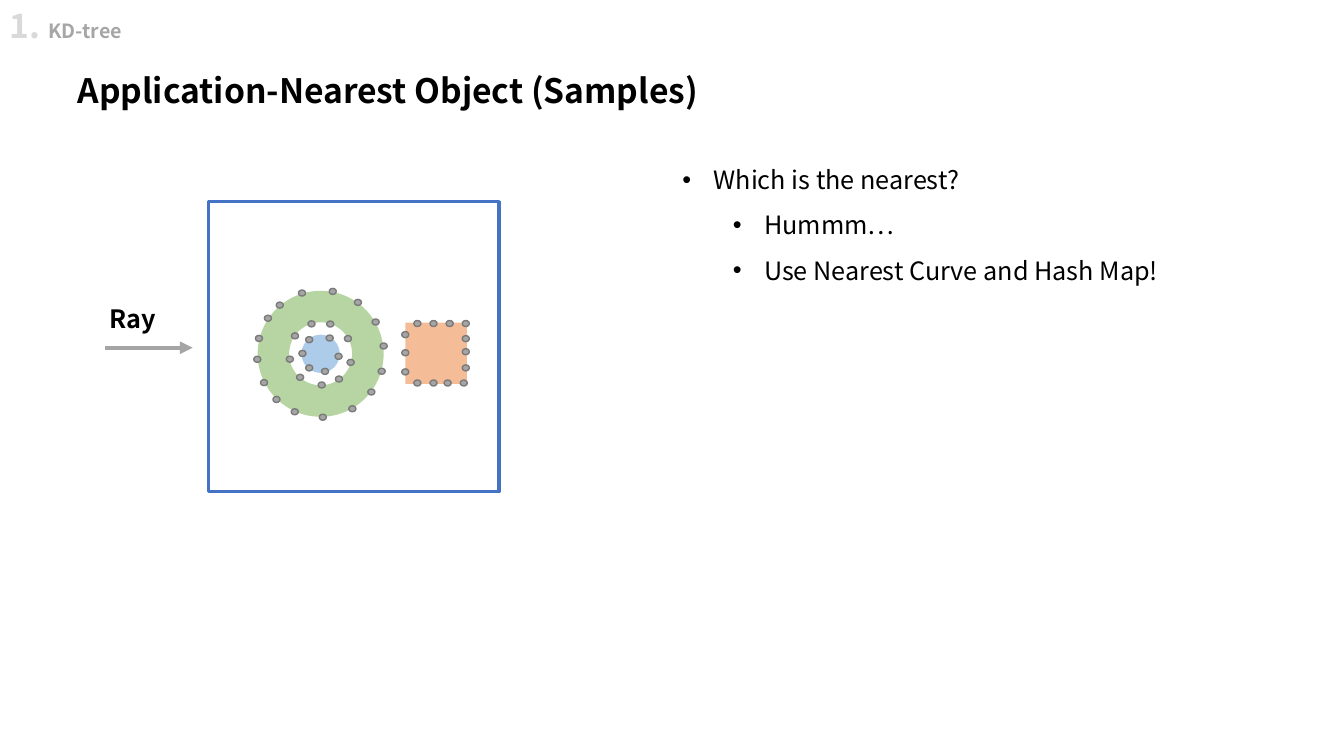
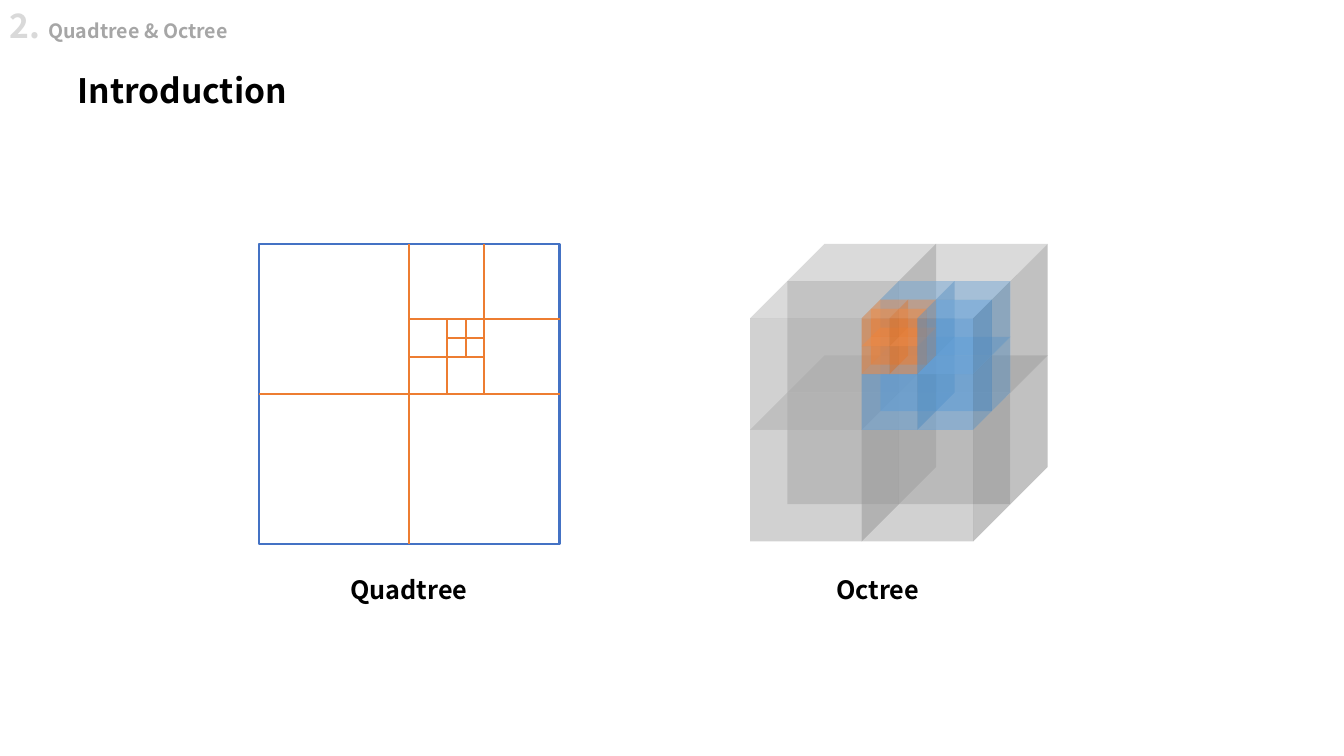
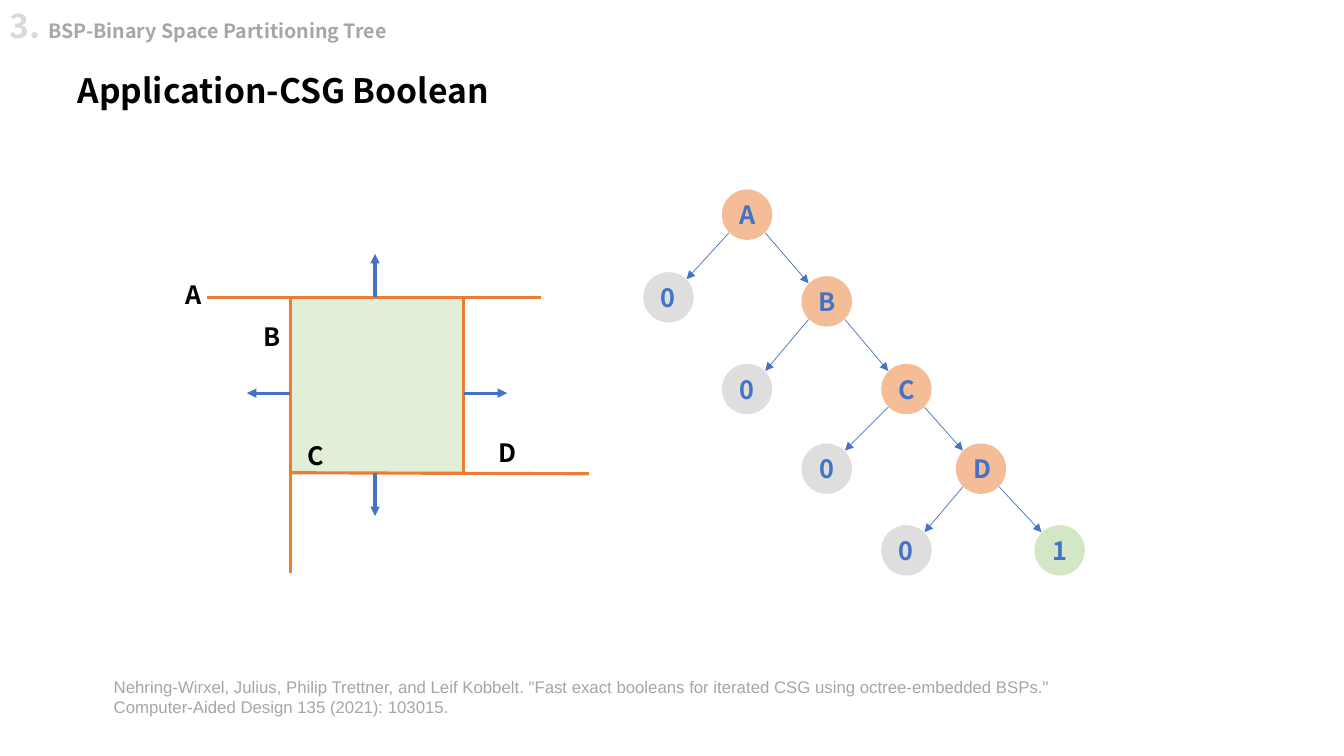
from itertools import product
from math import cos, radians, sin

from lxml import etree
from pptx import Presentation
from pptx.dml.color import RGBColor
from pptx.enum import shapes, text
from pptx.oxml.ns import qn
from pptx.util import Inches, Pt

FONT = "Noto Sans CJK SC"
CITATION_FONT = "Arial"

BLACK = RGBColor(0x00, 0x00, 0x00)
LIGHT_GRAY = RGBColor(0xD9, 0xD9, 0xD9)
MUTED_GRAY = RGBColor(0xA6, 0xA6, 0xA6)
NODE_GRAY = RGBColor(0xBF, 0xBF, 0xBF)
GRAY = RGBColor(0xA5, 0xA5, 0xA5)
DOT_EDGE = RGBColor(0x7A, 0x7A, 0x7A)
ORANGE = RGBColor(0xED, 0x7D, 0x31)
BLUE = RGBColor(0x44, 0x72, 0xC4)
SKY = RGBColor(0x5B, 0x9B, 0xD5)
GREEN = RGBColor(0x70, 0xAD, 0x47)
LEAF_GREEN = RGBColor(0xA9, 0xD1, 0x8E)
PALE_GREEN = RGBColor(0xC5, 0xE0, 0xB4)

KIND = shapes.MSO_SHAPE


def style_font(font, size, color, bold=False, name=FONT):
    font.name, font.size, font.bold = name, Pt(size), bold
    font.color.rgb = color


def add_shape(parent, kind, left, top, width, height, fill=None,
              alpha=None, line=None, weight=1):
    """Add a preset shape; alpha is the fill's opacity in percent."""
    shape = parent.shapes.add_shape(
        kind, Inches(left), Inches(top), Inches(width), Inches(height))
    if fill is None:
        shape.fill.background()
    else:
        shape.fill.solid()
        shape.fill.fore_color.rgb = fill
    if alpha is not None:
        color = shape.element.spPr.find(qn("a:solidFill")).find(qn("a:srgbClr"))
        etree.SubElement(color, qn("a:alpha"), val=str(alpha * 1000))
    if line is None:
        shape.line.fill.background()
    else:
        shape.line.color.rgb = line
        shape.line.width = Pt(weight)
    shape.shadow.inherit = False
    return shape


def add_line(parent, start, end, color, weight, arrow=False):
    connector = parent.shapes.add_connector(
        shapes.MSO_CONNECTOR.STRAIGHT,
        *(Inches(value) for value in (*start, *end)))
    connector.line.color.rgb = color
    connector.line.width = Pt(weight)
    properties = connector.element.spPr
    if arrow:
        etree.SubElement(properties.find(qn("a:ln")), qn("a:tailEnd"),
                         type="triangle")
    etree.SubElement(properties, qn("a:effectLst"))


def add_text_frame(slide, left, top, width, height, wrap=True):
    box = slide.shapes.add_textbox(
        Inches(left), Inches(top), Inches(width), Inches(height))
    frame = box.text_frame
    frame.word_wrap = wrap
    frame.auto_size = text.MSO_AUTO_SIZE.SHAPE_TO_FIT_TEXT
    return frame


def add_label(slide, words, left, top, width, height=0.4, size=18,
              align=None, wrap=True):
    frame = add_text_frame(slide, left, top, width, height, wrap)
    paragraph = frame.paragraphs[0]
    paragraph.text = words
    paragraph.alignment = align
    style_font(paragraph.font, size, BLACK, bold=True)


def add_titled_slide(presentation, number, section, title):
    """Add a blank slide with the title and the section header."""
    slide = presentation.slides.add_slide(presentation.slide_layouts[6])
    add_label(slide, title, 0.67, 0.64, 11.99, 0.5, size=24)
    header = add_text_frame(slide, 0, 0, 11.99, 0.5).paragraphs[0]
    for words, size, color in ((f"{number}. ", 24, LIGHT_GRAY),
                               (section, 14, MUTED_GRAY)):
        run = header.add_run()
        run.text = words
        style_font(run.font, size, color, bold=True)
    return slide


def add_bullets(slide, left, top, width, height, items):
    frame = add_text_frame(slide, left, top, width, height)
    for index, (level, words) in enumerate(items):
        paragraph = frame.add_paragraph() if index else frame.paragraphs[0]
        paragraph.text = words
        paragraph.level = level
        paragraph.line_spacing = 1.5
        properties = paragraph._p.get_or_add_pPr()
        properties.set("marL", str(Inches(0.31 + 0.5 * level)))
        properties.set("indent", str(Inches(-0.31)))
        etree.SubElement(properties, qn("a:buFont"), typeface="Arial")
        etree.SubElement(properties, qn("a:buChar"), char="•")
        style_font(paragraph.font, 18, BLACK)


def add_sample(slide, x, y):
    width, height = 0.07, 0.06
    add_shape(slide, KIND.OVAL, x - width / 2, y - height / 2, width, height,
              GRAY, line=DOT_EDGE)


def draw_sampled_objects(slide, left, top, size):
    """Draw objects with sample points on their outlines, in a square frame."""
    center_x, center_y = left + 1.11, top + 1.51
    square_left, square_top, side = left + 1.95, top + 1.2, 0.61
    add_shape(slide, KIND.RECTANGLE, square_left, square_top, side, side,
              ORANGE, 50)
    for kind, diameter, color in ((KIND.OVAL, 0.38, SKY),
                                  (KIND.DONUT, 1.25, GREEN)):
        add_shape(slide, kind, center_x - diameter / 2, center_y - diameter / 2,
                  diameter, diameter, color, 50)

    square_samples = (
        [(x, 0.01) for x in (0.12, 0.28, 0.44, 0.6)]
        + [(x, 0.6) for x in (0.12, 0.28, 0.42, 0.58)]
        + [(0, y) for y in (0.12, 0.3, 0.49)]
        + [(0.6, y) for y in (0.16, 0.29, 0.45)])
    for x, y in square_samples:
        add_sample(slide, square_left + x, square_top + y)

    ring_angles = (
        (0.18, (8, 76, 129, 181, 231, 300)),
        (0.63, (16, 37, 60, 88, 114, 134, 153, 175,
                194, 214, 230, 253, 281, 306, 330, 353)),
        (0.31, (16, 54, 88, 131, 170, 215, 253, 288, 331)))
    for radius, angles in ring_angles:
        for angle in map(radians, angles):
            add_sample(slide, center_x + radius * cos(angle),
                       center_y + radius * sin(angle))
    add_shape(slide, KIND.RECTANGLE, left, top, size, size,
              line=BLUE, weight=2.25)


def draw_quadtree(slide, left, top, size):
    """Halve a square, then one quadrant after another."""
    group = slide.shapes.add_group_shape()
    add_shape(group, KIND.RECTANGLE, left, top, size, size,
              line=BLUE, weight=1.5)
    top_right, bottom_left = (1, 0), (0, 1)
    for column, row in (top_right, bottom_left, top_right, top_right):
        half = size / 2
        add_line(group, (left, top + half), (left + size, top + half),
                 ORANGE, 1.5)
        add_line(group, (left + half, top), (left + half, top + size),
                 ORANGE, 1.5)
        left, top, size = left + column * half, top + row * half, half


def draw_octants(group, left, top, size, levels):
    """Draw eight half-size cubes, back to front, splitting one further."""
    (color, split_octant), *deeper = levels
    half = size / 2
    depth, face = half * 0.25, half * 0.75
    for octant in product((1, 0), (0, 1), (0, 1)):
        bottom, front, right = octant
        x = left + (1 - front) * depth + right * face
        y = top + front * depth + bottom * face
        if octant == split_octant:
            draw_octants(group, x, y, half, deeper)
        else:
            add_shape(group, KIND.CUBE, x, y, half, half, color, 50)


def draw_octree(slide, left, top, size):
    levels = ((GRAY, (0, 1, 1)), (SKY, (0, 1, 0)), (ORANGE, None))
    draw_octants(slide.shapes.add_group_shape(), left, top, size, levels)


def draw_csg_region(slide, left, top, width, height):
    """Draw a rectangle cut out by four planes with outward normals."""
    right, bottom = left + width, top + height
    add_shape(slide, KIND.RECTANGLE, left, top, width, height, PALE_GREEN, 50)
    planes = (((left, top), (left, top + 2.73)),
              ((left + 2.96, bottom + 0.01), (left, bottom)),
              ((left + 2.49, top), (left - 0.83, top)),
              ((right, top), (right, bottom)))
    for start, end in planes:
        add_line(slide, start, end, ORANGE, 2.25)
    x, y, reach = left + 0.84, top + 0.95, 0.43
    normals = (((x, top), (x, top - reach)),
               ((x, bottom), (x, bottom + reach)),
               ((left, y), (left - reach, y)),
               ((right, y), (right + reach, y)))
    for start, end in normals:
        add_line(slide, start, end, BLUE, 2.25, arrow=True)
    for name, dx, dy in (("A", -1.14, -0.23), ("B", -0.36, 0.19),
                         ("C", 0.07, 1.37), ("D", 1.97, 1.34)):
        add_label(slide, name, left + dx, top + dy, 0.37, wrap=False)


def add_node(slide, name, left, top, color, diameter):
    node = add_shape(slide, KIND.OVAL, left, top, diameter, diameter, color, 50)
    paragraph = node.text_frame.paragraphs[0]
    paragraph.text = name
    paragraph.alignment = text.PP_ALIGN.CENTER
    style_font(paragraph.font, 18, BLUE, bold=True)


def draw_bsp_tree(slide, left, top):
    """Draw the chain A to D, with a 0 leaf at each left and a final 1."""
    diameter, reach = 0.5, 0.18
    chain = [(0.78, 0), (1.57, 0.86), (2.36, 1.73), (3.1, 2.52), (3.88, 3.33)]
    leaves = [(0, 0.82), (0.78, 1.73), (1.57, 2.52), (2.36, 3.33)]

    def link(parent, child, side):
        """Join two nodes; side is -1 for a left child, 1 for a right one."""
        x, y = left + diameter / 2, top + diameter / 2
        add_line(slide,
                 (x + parent[0] + side * reach, y + parent[1] + reach),
                 (x + child[0] - side * reach, y + child[1] - reach),
                 BLUE, 0.5, arrow=True)

    nodes = ([(name, place, ORANGE) for name, place in zip("ABCD", chain)]
             + [("0", place, NODE_GRAY) for place in leaves]
             + [("1", chain[-1], LEAF_GREEN)])
    for name, (x, y), color in nodes:
        add_node(slide, name, left + x, top + y, color, diameter)
    for parent, leaf, successor in zip(chain, leaves, chain[1:]):
        link(parent, leaf, -1)
        link(parent, successor, 1)


def add_citation(slide, left, top, width, height, lines):
    frame = add_text_frame(slide, left, top, width, height)
    for index, line in enumerate(lines):
        paragraph = frame.add_paragraph() if index else frame.paragraphs[0]
        paragraph.text = line
        style_font(paragraph.font, 12, MUTED_GRAY, name=CITATION_FONT)


def build_nearest_slide(presentation):
    slide = add_titled_slide(presentation, 1, "KD-tree",
                             "Application-Nearest Object (Samples)")
    add_bullets(slide, 6.67, 1.43, 5.63, 1.41, (
        (0, "Which is the nearest?"),
        (1, "Hummm…"),
        (1, "Use Nearest Curve and Hash Map!")))
    add_line(slide, (1.04, 3.45), (1.91, 3.45), GRAY, 3, arrow=True)
    add_label(slide, "Ray", 0.99, 2.96, 0.88)
    draw_sampled_objects(slide, 2.07, 2, 2.88)


def build_introduction_slide(presentation):
    slide = add_titled_slide(presentation, 2, "Quadtree & Octree",
                             "Introduction")
    draw_quadtree(slide, 2.57, 2.42, 2.98)
    draw_octree(slide, 7.44, 2.42, 2.95)
    for name, left in (("Quadtree", 3.07), ("Octree", 7.72)):
        add_label(slide, name, left, 5.65, 1.97, align=text.PP_ALIGN.CENTER)


def build_csg_slide(presentation):
    slide = add_titled_slide(presentation, 3,
                             "BSP-Binary Space Partitioning Tree",
                             "Application-CSG Boolean")
    add_citation(slide, 1.03, 6.66, 11.26, 0.5, (
        "Nehring-Wirxel, Julius, Philip Trettner, and Leif Kobbelt. "
        "\"Fast exact booleans for iterated CSG using octree-embedded BSPs.\"",
        "Computer-Aided Design 135 (2021): 103015."))
    draw_csg_region(slide, 2.88, 2.95, 1.72, 1.74)
    draw_bsp_tree(slide, 6.38, 1.88)


def main():
    presentation = Presentation()
    presentation.slide_width = Inches(13.33)
    presentation.slide_height = Inches(7.5)
    build_nearest_slide(presentation)
    build_introduction_slide(presentation)
    build_csg_slide(presentation)
    presentation.save("out.pptx")


if __name__ == "__main__":
    main()
